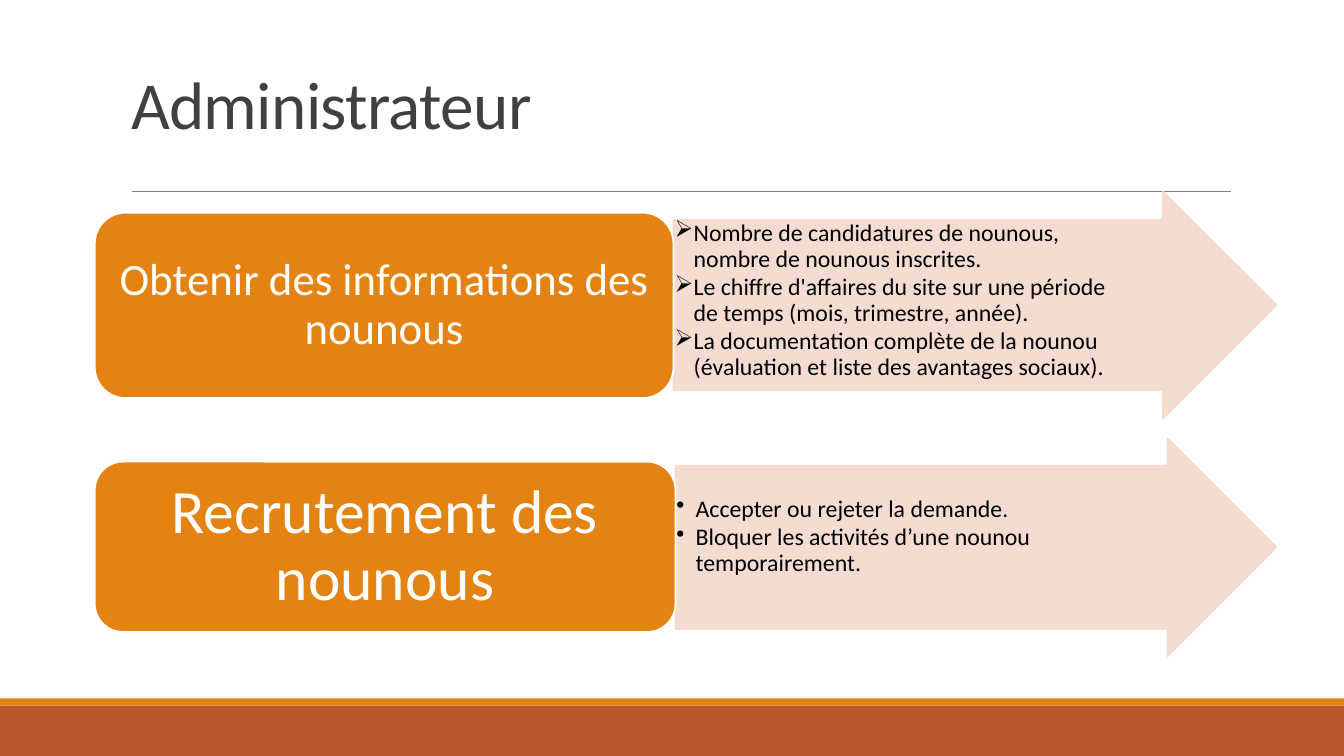
import pptx
import pptx.dml.color
import pptx.enum.shapes
import pptx.enum.text
import pptx.oxml.ns
import pptx.util
from lxml import etree

Inches = pptx.util.Inches
Pt = pptx.util.Pt
RGBColor = pptx.dml.color.RGBColor
MSO_SHAPE = pptx.enum.shapes.MSO_SHAPE
MSO_ANCHOR = pptx.enum.text.MSO_ANCHOR
PP_ALIGN = pptx.enum.text.PP_ALIGN
qn = pptx.oxml.ns.qn

WHITE = RGBColor(0xFF, 0xFF, 0xFF)
BLACK = RGBColor(0x00, 0x00, 0x00)
ORANGE = RGBColor(0xE4, 0x83, 0x12)
RUST = RGBColor(0xBD, 0x58, 0x2C)
BLUSH = RGBColor(0xF5, 0xD9, 0xCC)
CHARCOAL = RGBColor(0x40, 0x40, 0x40)
GREY = RGBColor(0x80, 0x80, 0x80)

SLIDE_WIDTH = 13.33
SLIDE_HEIGHT = 7.5
TOPIC_LEFT = 0.94
ARROW_RIGHT = 12.66

# label, label size, label inset, split x, label (top, height),
# arrow (top, height), list top inset, bullet, list items
TOPICS = [
    ("Obtenir des informations des nounous", 32, 0.13, 6.68,
     (2.11, 1.84), (1.9, 2.25), 0.01, "➢",
     ["Nombre de candidatures de nounous, nombre de nounous inscrites.",
      "Le chiffre d'affaires du site sur une période de temps "
      "(mois, trimestre, année).",
      "La documentation complète de la nounou "
      "(évaluation et liste des avantages sociaux)."]),
    ("Recrutement des nounous", 44, 0.18, 6.7,
     (4.58, 1.69), (4.35, 2.16), 0.31, "•",
     ["Accepter ou rejeter la demande.",
      "Bloquer les activités d’une nounou temporairement."]),
]


class SlideBuilder:
    font = "Calibri"

    def __init__(self, slide):
        self.slide = slide

    def add_run(self, paragraph, text, size, color):
        run = paragraph.add_run()
        run.text = text
        run.font.name = self.font
        run.font.size = Pt(size)
        run.font.color.rgb = color
        return run

    def set_frame(self, frame, anchor, left, top, right, bottom):
        frame.word_wrap = True
        frame.auto_size = pptx.enum.text.MSO_AUTO_SIZE.NONE
        frame.vertical_anchor = anchor
        frame.margin_left, frame.margin_top = Inches(left), Inches(top)
        frame.margin_right, frame.margin_bottom = Inches(right), Inches(bottom)

    def title(self, text):
        title = self.slide.shapes.title
        title.left, title.top = Inches(1.2), Inches(0.31)
        title.width, title.height = Inches(11), Inches(1.16)
        self.set_frame(title.text_frame, MSO_ANCHOR.BOTTOM, 0.1, 0.05, 0.1, 0.05)
        heading = title.text_frame.paragraphs[0]
        heading.alignment = PP_ALIGN.LEFT
        heading.line_spacing = 0.85
        run = self.add_run(heading, text, 48, CHARCOAL)
        run.font._element.set("spc", "-50")

    def shape(self, kind, left, top, width, height, fill, outline=None):
        shape = self.slide.shapes.add_shape(
            kind, Inches(left), Inches(top), Inches(width), Inches(height))
        shape.shadow.inherit = False
        shape.fill.solid()
        shape.fill.fore_color.rgb = fill
        if outline is None:
            shape.line.fill.background()
        else:
            shape.line.color.rgb = outline
            shape.line.width = Pt(1.25)
        return shape

    def rule(self, left, right, y):
        rule = self.slide.shapes.add_connector(
            pptx.enum.shapes.MSO_CONNECTOR.STRAIGHT,
            Inches(left), Inches(y), Inches(right), Inches(y))
        rule.line.color.rgb = GREY
        rule.line.width = Pt(0.5)
        etree.SubElement(rule._element.spPr, qn("a:effectLst"))

    def label(self, text, size, inset, left, top, width, height):
        box = self.shape(MSO_SHAPE.ROUNDED_RECTANGLE, left, top, width, height,
                         ORANGE, WHITE)
        frame = box.text_frame
        self.set_frame(frame, MSO_ANCHOR.MIDDLE, inset, inset / 2, inset, inset / 2)
        paragraph = frame.paragraphs[0]
        paragraph.alignment = PP_ALIGN.CENTER
        paragraph.line_spacing = 0.9
        self.add_run(paragraph, text, size, WHITE)

    def arrow_list(self, items, bullet, top_inset, left, top, width, height):
        arrow = self.shape(MSO_SHAPE.RIGHT_ARROW, left, top, width, height,
                           BLUSH, BLUSH)
        arrow.adjustments[0], arrow.adjustments[1] = 0.75, 0.5
        for color in arrow._element.spPr.iter(qn("a:srgbClr")):
            etree.SubElement(color, qn("a:alpha"), val="90000")

        frame = arrow.text_frame
        # The right inset keeps the list short of the arrow's point.
        self.set_frame(frame, MSO_ANCHOR.TOP,
                       0.01, top_inset, height / 4 + 0.01, 0.01)
        for index, item in enumerate(items):
            entry = frame.add_paragraph() if index else frame.paragraphs[0]
            entry.level = 1
            entry.alignment = PP_ALIGN.LEFT
            entry.line_spacing = 0.9
            entry.space_after = Pt(2)
            self.add_run(entry, item, 17, BLACK)
            properties = entry._p.get_or_add_pPr()
            properties.set("marL", str(Inches(0.19)))
            properties.set("indent", str(Inches(-0.19)))
            etree.SubElement(properties, qn("a:buChar"), char=bullet)


def main():
    deck = pptx.Presentation()
    deck.slide_width = Inches(SLIDE_WIDTH)
    deck.slide_height = Inches(SLIDE_HEIGHT)
    builder = SlideBuilder(deck.slides.add_slide(deck.slide_layouts[5]))

    builder.shape(MSO_SHAPE.RECTANGLE, 0, 7, SLIDE_WIDTH, 0.5, RUST)
    builder.shape(MSO_SHAPE.RECTANGLE, 0, 6.93, SLIDE_WIDTH, 0.07, ORANGE)
    builder.rule(1.31, 12.21, 1.9)
    builder.title("Administrateur")

    for (label, size, inset, split, (label_top, label_height),
         (arrow_top, arrow_height), list_inset, bullet, items) in TOPICS:
        builder.arrow_list(items, bullet, list_inset, split, arrow_top,
                           ARROW_RIGHT - split, arrow_height)
        builder.label(label, size, inset, TOPIC_LEFT, label_top,
                      split - TOPIC_LEFT, label_height)

    deck.save("out.pptx")


if __name__ == "__main__":
    main()
